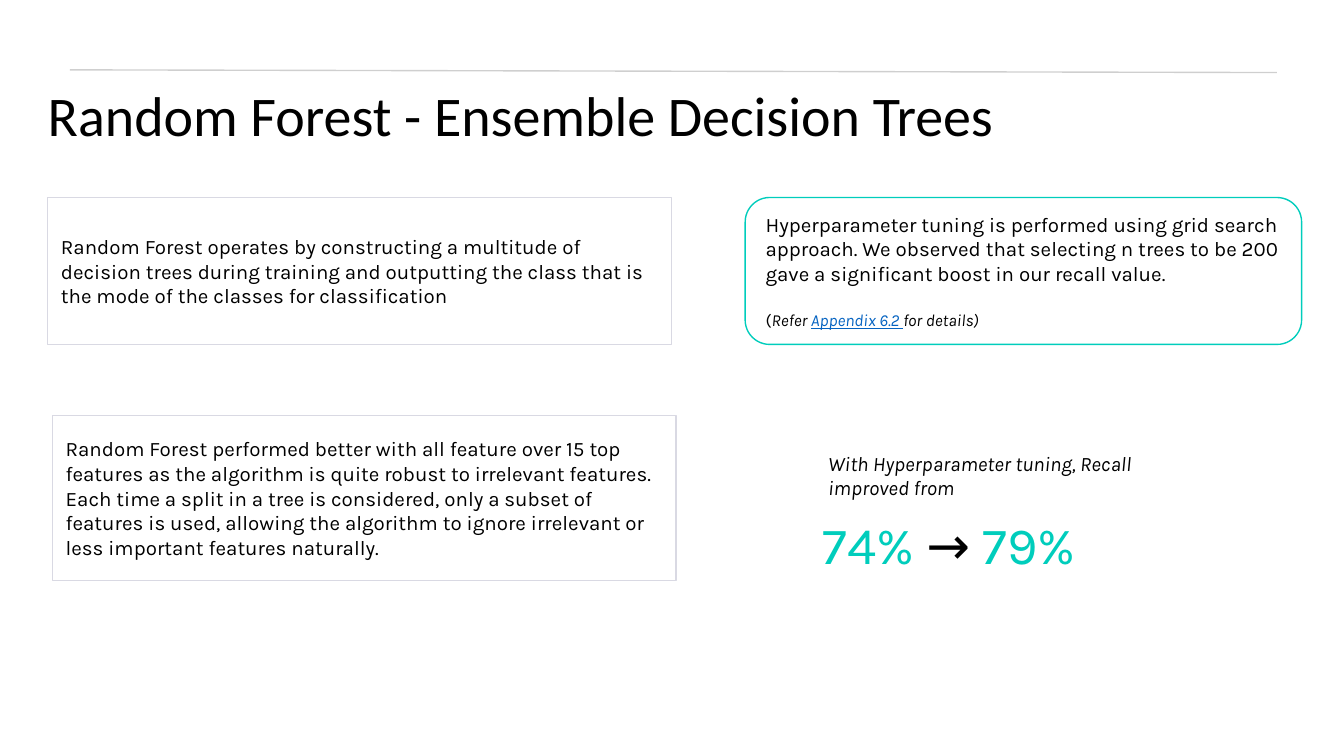
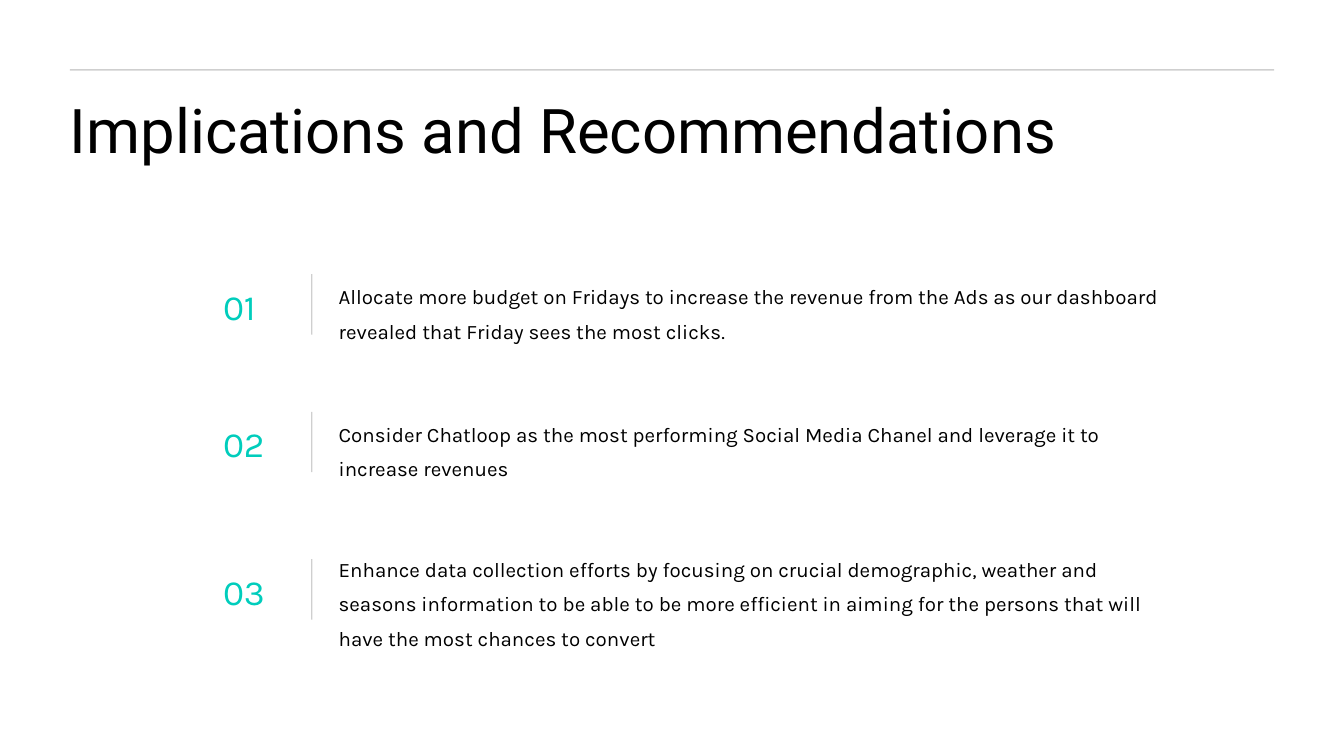
from dataclasses import dataclass
from typing import Optional

from lxml.etree import SubElement
from pptx import Presentation
from pptx.dml.color import RGBColor
from pptx.enum.shapes import MSO_CONNECTOR, MSO_SHAPE
from pptx.enum.text import MSO_ANCHOR, MSO_AUTO_SIZE, PP_ALIGN
from pptx.oxml.ns import qn
from pptx.util import Inches, Pt

COLOURS = {
    "ink": "000000",
    "rule": "111111",
    "accent": "00CDBC",
    "frame": "D9D9E3",
    "link": "0563C1",
}
BODY_FONT = "Karla"
BODY_SIZE = 11
TITLE_LAYOUT = 5

# The 16:9 page is a grid of square cells, 100 columns wide
PAGE_WIDTH = Inches(10)
PAGE_HEIGHT = PAGE_WIDTH * 9 // 16
CELL = PAGE_WIDTH / 100
MARGIN = 5.2
INSET = 1


@dataclass
class Area:
    column: float
    row: float
    columns: float
    rows: float

    def lengths(self) -> list[int]:
        return [cells(n) for n in (self.column, self.row, self.columns, self.rows)]


@dataclass
class Span:
    text: str
    size: float = BODY_SIZE
    colour: str = "ink"
    font: str = BODY_FONT
    italic: bool = False
    underline: bool = False


@dataclass
class Para:
    spans: list[Span]
    line_spacing: Optional[float] = None
    space_before: float = 0


@dataclass
class Panel:
    area: Area
    paras: list[Para]
    shape: MSO_SHAPE = MSO_SHAPE.RECTANGLE
    border: str = "frame"


@dataclass
class Recommendation:
    row: float
    text: str
    columns: float = 62.4
    lift: float = 0


def cells(count: float) -> int:
    return round(count * CELL)


def colour(name: str) -> RGBColor:
    return RGBColor.from_string(COLOURS[name])


def write(frame, paras: list[Para], inset: float = 0, anchor=MSO_ANCHOR.TOP) -> None:
    """Fill a text frame run by run."""
    frame.word_wrap = True
    frame.auto_size = MSO_AUTO_SIZE.NONE
    frame.vertical_anchor = anchor
    frame.margin_left = frame.margin_right = cells(inset)
    frame.margin_top = frame.margin_bottom = cells(inset)
    for index, para in enumerate(paras):
        paragraph = frame.add_paragraph() if index else frame.paragraphs[0]
        paragraph.alignment = PP_ALIGN.LEFT
        paragraph.space_before = Pt(para.space_before)
        if para.line_spacing:
            paragraph.line_spacing = para.line_spacing
        for span in para.spans:
            run = paragraph.add_run()
            run.text = span.text
            run.font.name = span.font
            run.font.size = Pt(span.size)
            run.font.italic = span.italic
            run.font.underline = span.underline
            run.font.color.rgb = colour(span.colour)


def add_text(page, area: Area, para: Para, inset: float = 0) -> None:
    box = page.shapes.add_textbox(*area.lengths())
    write(box.text_frame, [para], inset)


def add_rule(page, column: float, row: float, end_column: float, end_row: float) -> None:
    """Draw a thin line at one fifth opacity."""
    ends = [cells(n) for n in (column, row, end_column, end_row)]
    rule = page.shapes.add_connector(MSO_CONNECTOR.STRAIGHT, *ends)
    rule.line.width = Pt(0.75)
    rule.line.color.rgb = colour("rule")
    tint = rule.line._ln.find(".//" + qn("a:srgbClr"))
    SubElement(tint, qn("a:alpha")).set("val", "20000")
    SubElement(rule._element.spPr, qn("a:effectLst"))


def add_panel(page, panel: Panel) -> None:
    box = page.shapes.add_shape(panel.shape, *panel.area.lengths())
    box.shadow.inherit = False
    box.fill.background()
    box.line.width = Pt(0.75)
    box.line.color.rgb = colour(panel.border)
    write(box.text_frame, panel.paras, INSET, MSO_ANCHOR.MIDDLE)


def add_page(deck, title: Span, area: Area, rule_end: tuple[float, float]):
    """Start a page with its top rule and title."""
    page = deck.slides.add_slide(deck.slide_layouts[TITLE_LAYOUT])
    heading = page.shapes.title
    heading.left, heading.top, heading.width, heading.height = area.lengths()
    write(heading.text_frame, [Para([title], line_spacing=1.1)])
    add_rule(page, MARGIN, MARGIN, *rule_end)
    return page


PANELS = [
    Panel(Area(3.55, 14.7, 46.4, 10.93), [Para([Span(
        "Random Forest operates by constructing a multitude of decision trees during "
        "training and outputting the class that is the mode of the classes for "
        "classification")])]),
    Panel(Area(55.45, 14.7, 41.4, 10.93), [
        Para([Span(
            "Hyperparameter tuning is performed using grid search approach. We observed "
            "that selecting n trees to be 200 gave a significant boost in our recall "
            "value.")]),
        Para([
            Span("(", 9),
            Span("Refer ", 9, italic=True),
            Span("Appendix 6.2 ", 9, "link", italic=True, underline=True),
            Span("for details)", 9, italic=True),
        ], space_before=13),
    ], MSO_SHAPE.ROUNDED_RECTANGLE, "accent"),
    Panel(Area(3.9, 30.9, 46.4, 12.3), [Para([Span(
        "Random Forest performed better with all feature over 15 top features as the "
        "algorithm is quite robust to irrelevant features. Each time a split in a tree "
        "is considered, only a subset of features is used, allowing the algorithm to "
        "ignore irrelevant or less important features naturally.")])]),
]

RECOMMENDATIONS = [
    Recommendation(20.4, "Allocate more budget on Fridays to increase the revenue from the "
                   "Ads as our dashboard revealed that Friday sees the most clicks.", 64.9),
    Recommendation(30.64, "Consider Chatloop as the most performing Social Media Chanel and "
                   "leverage it to increase revenues"),
    Recommendation(41.6, "Enhance data collection efforts by focusing on crucial demographic, "
                   "weather and seasons information to be able to be more efficient in "
                   "aiming for the persons that will have the most chances to convert",
                   lift=0.9),
]


def build_forest_page(deck) -> None:
    page = add_page(deck, Span("Random Forest - Ensemble Decision Trees", 30, font="Calibri"),
                    Area(3.55, 5.5, 76.5, 4.6), (95, 5.4))
    for panel in PANELS:
        add_panel(page, panel)

    # Recall before and after tuning
    add_text(page, Area(61.2, 37.64, 30.4, 4.6), Para([
        Span("74% ", 28, "accent"),
        Span("→", 28),
        Span(" 79%", 28, "accent"),
    ], line_spacing=1.1))
    add_text(page, Area(60.64, 32.54, 29.6, 3.7), Para([
        Span("With Hyperparameter tuning, Recall improved from", italic=True)]), INSET)


def build_recommendations_page(deck) -> None:
    page = add_page(deck, Span("Implications and Recommendations", 33, font="Roboto"),
                    Area(MARGIN, 6.3, 84.9, 9.2), (94.8, MARGIN))

    # Number, divider and advice on each row
    for number, item in enumerate(RECOMMENDATIONS, start=1):
        add_text(page, Area(16.6, item.row + 0.8, 11.7, 3.6),
                 Para([Span(f"{number:02}", 19, "accent")]))
        add_rule(page, 23.2, item.row, 23.2, item.row + 4.5)
        add_text(page, Area(25.2, item.row - item.lift, item.columns, 1.9),
                 Para([Span(item.text)], line_spacing=1.4))


def main() -> None:
    deck = Presentation()
    deck.slide_width, deck.slide_height = PAGE_WIDTH, PAGE_HEIGHT
    build_forest_page(deck)
    build_recommendations_page(deck)
    deck.save("out.pptx")


if __name__ == "__main__":
    main()
